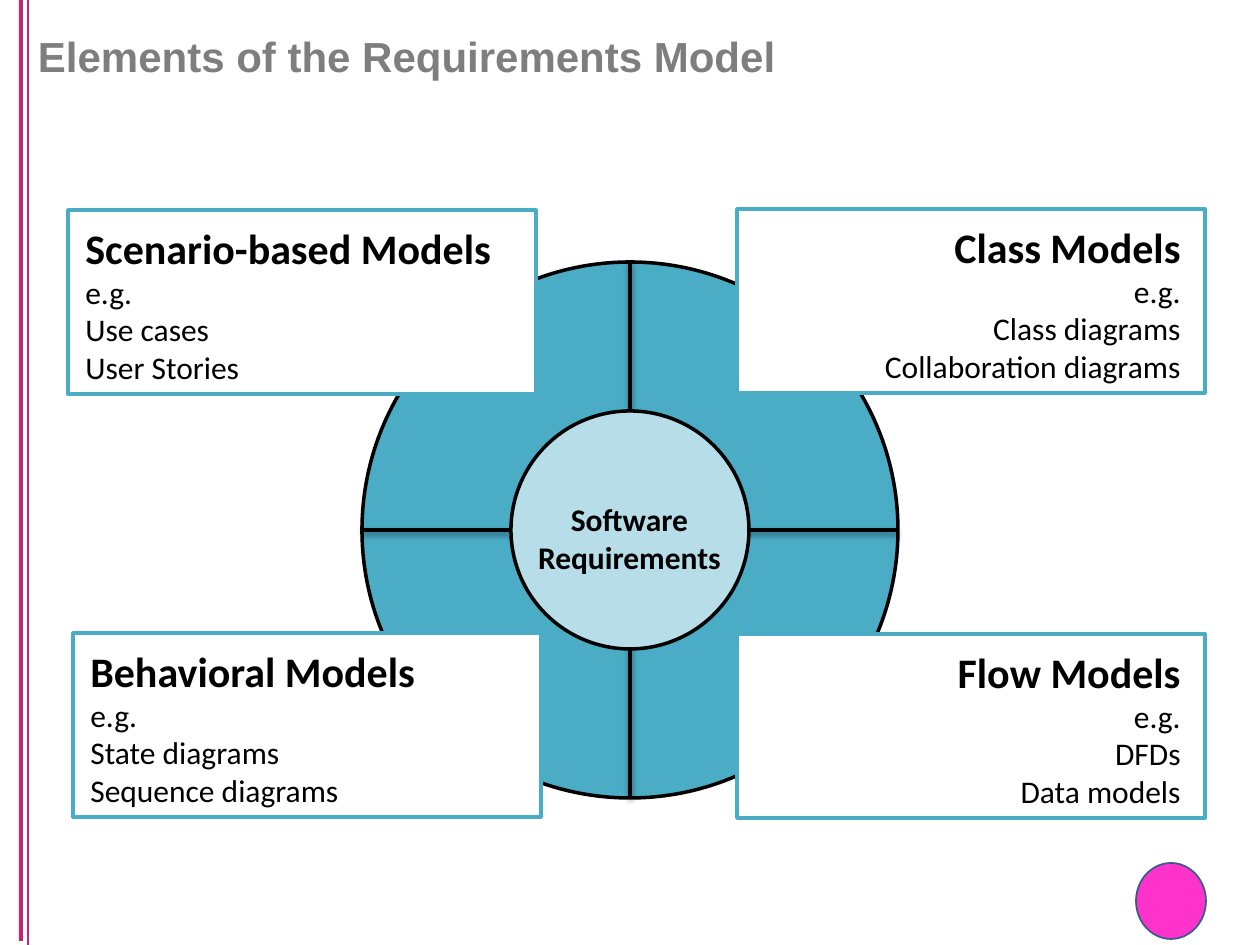
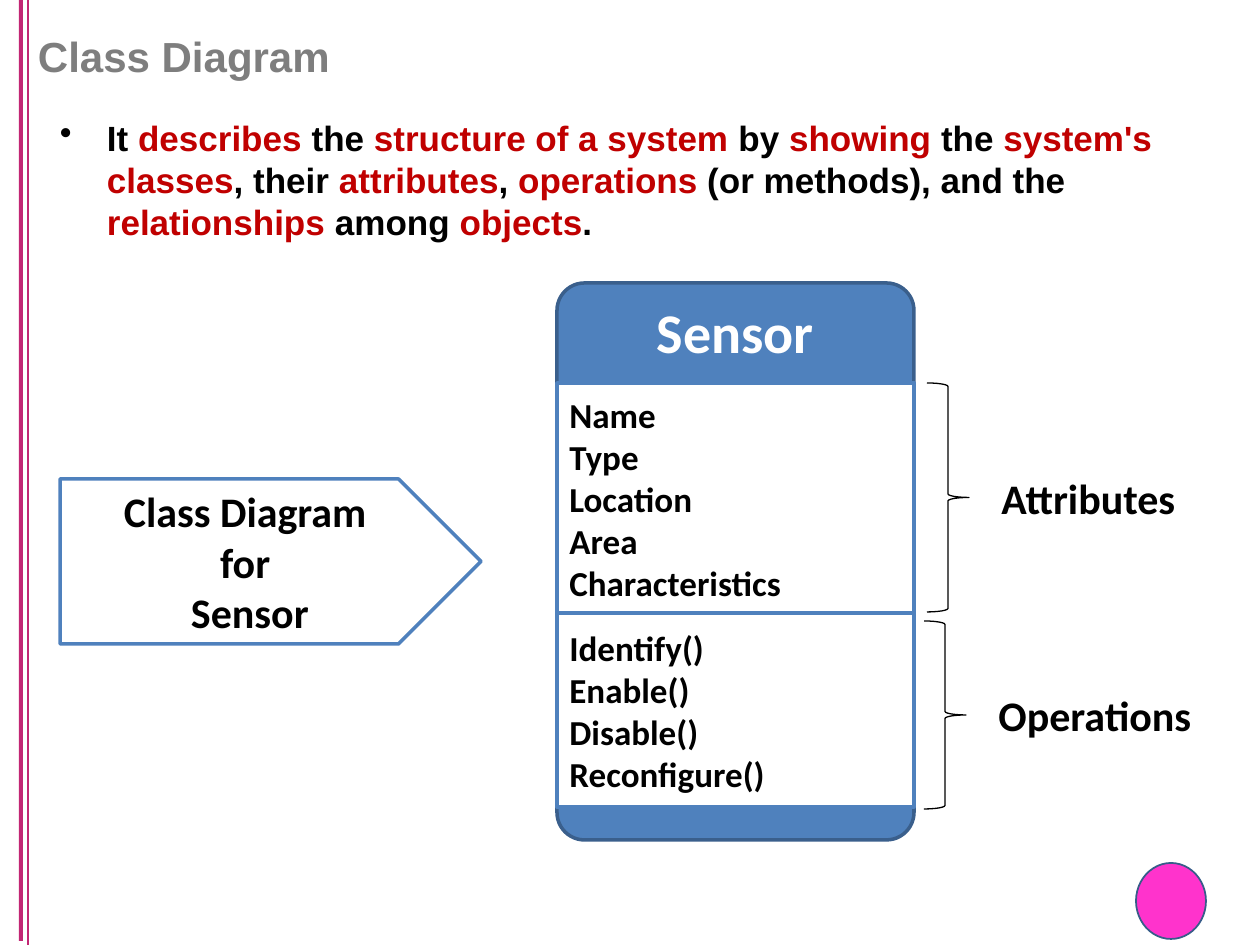
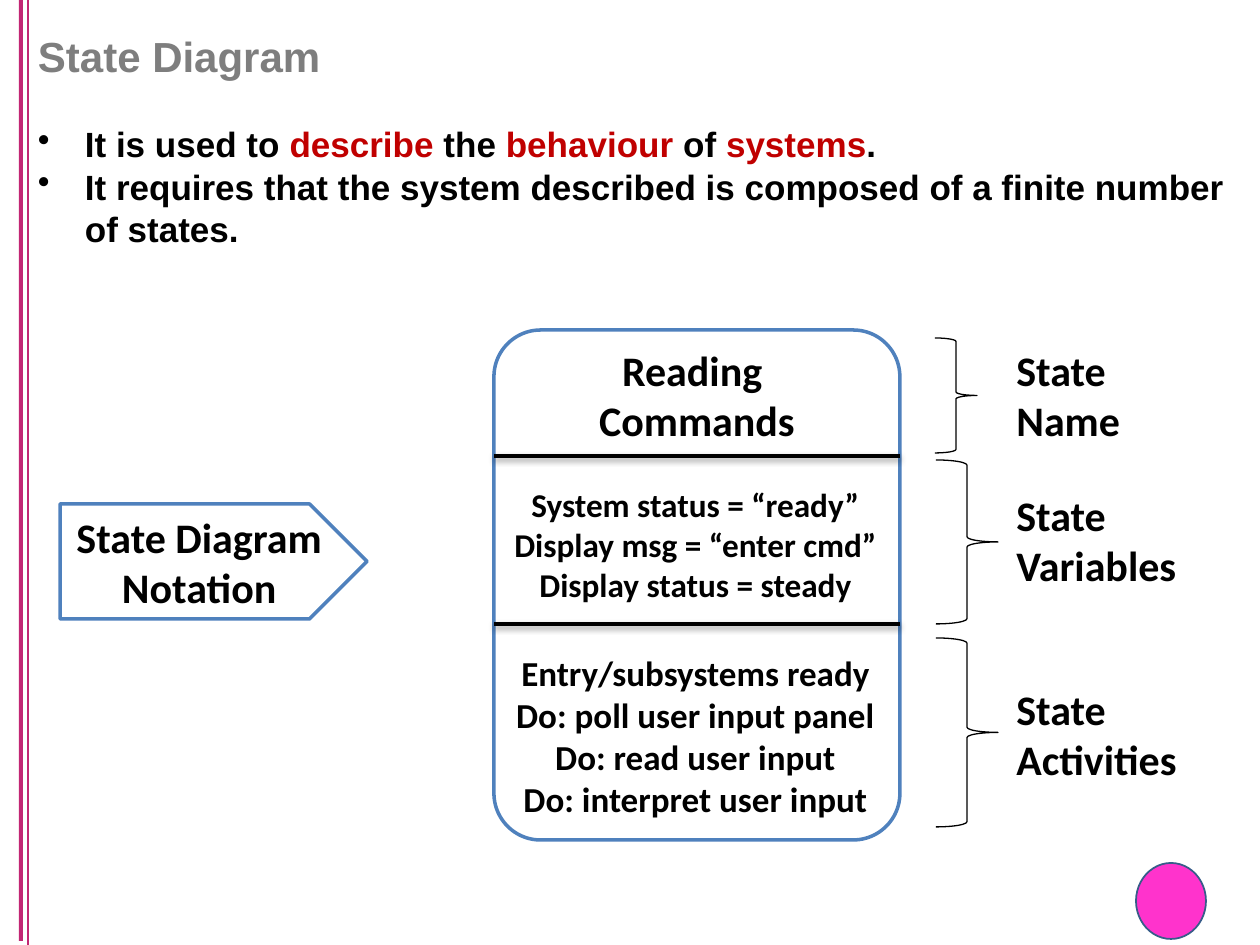
from lxml.etree import SubElement
from pptx import Presentation
from pptx.dml.color import RGBColor
from pptx.enum.shapes import MSO_CONNECTOR, MSO_SHAPE
from pptx.enum.text import MSO_ANCHOR, PP_ALIGN
from pptx.oxml.ns import qn
from pptx.util import Pt

SCALE = 914400 / 126
WIDE, HIGH = 1260, 945
HUES = {
    "black": "000000", "white": "FFFFFF", "grey": "7E7E7E", "red": "C00000",
    "rose": "C22674", "pink": "FF33CC", "navy": "375C89", "teal": "4BACC6",
    "pale": "B7DEE8", "blue": "4F81BD", "edge": "3A5F8C",
}
LEFT, MID, RIGHT = PP_ALIGN.LEFT, PP_ALIGN.CENTER, PP_ALIGN.RIGHT


def emu(*sizes):
    return [round(size * SCALE) for size in sizes]


def hue(name):
    return RGBColor.from_string(HUES[name])


# Basic parts
def shape(slide, kind, box, fill=None, line=None, width=2, adj=None):
    part = slide.shapes.add_shape(kind, *emu(*box))
    part.shadow.inherit = False
    if fill:
        part.fill.solid()
        part.fill.fore_color.rgb = hue(fill)
    else:
        part.fill.background()
    if line:
        part.line.color.rgb = hue(line)
        part.line.width = Pt(width)
    else:
        part.line.fill.background()
    if adj is not None:
        part.adjustments[0] = adj
    return part


def rule(slide, ends, color="black", width=2, shade=True):
    line = slide.shapes.add_connector(MSO_CONNECTOR.STRAIGHT, *emu(*ends))
    line.line.color.rgb = hue(color)
    line.line.width = Pt(width)
    fx = SubElement(line._element.spPr, qn("a:effectLst"))
    if shade:
        cast = SubElement(fx, qn("a:outerShdw"), blurRad="40000", dist="20000",
                          dir="5400000", rotWithShape="0")
        tone = SubElement(cast, qn("a:srgbClr"), val=HUES["black"])
        SubElement(tone, qn("a:alpha"), val="38000")


def style(para, size, bold=True, color="black", face="Calibri", align=LEFT):
    para.alignment = align
    font = para.font
    font.name, font.size, font.bold = face, Pt(size), bold
    font.color.rgb = hue(color)


def write(part, lines, size=24, align=LEFT, color="black", anchor=MSO_ANCHOR.TOP, wrap=True):
    frame = part.text_frame
    frame.word_wrap, frame.vertical_anchor = wrap, anchor
    frame.text = "\n".join(lines)
    for para in frame.paragraphs:
        style(para, size, align=align, color=color)
    return frame


def label(slide, box, lines, size=24, align=LEFT, wrap=True):
    part = slide.shapes.add_textbox(*emu(*box))
    return write(part, lines, size, align, wrap=wrap)


def plain(slide, box, top):
    """Text frame with no margins but the one at the top."""
    frame = slide.shapes.add_textbox(*emu(*box)).text_frame
    frame.word_wrap = True
    frame.margin_left = frame.margin_right = frame.margin_bottom = 0
    frame.margin_top = emu(top)[0]
    return frame


# What all slides share: side bands, page disc, title
def base(deck, title):
    slide = deck.slides.add_slide(deck.slide_layouts[6])
    shape(slide, MSO_SHAPE.OVAL, (1136, 863, 70, 76), "pink", "navy", 1)
    rule(slide, (28, 0, 28, HIGH), "rose", 0.75, shade=False)
    shape(slide, MSO_SHAPE.RECTANGLE, (19, 0, 4, 941), "rose")
    frame = plain(slide, (38, 26, 1186, 54), 4)
    frame.text = title
    style(frame.paragraphs[0], 24, color="grey", face="Arial")
    return slide


def points(slide, box, items, top=0):
    """Bulleted text; words between stars are red."""
    frame = plain(slide, box, top)
    for num, item in enumerate(items):
        para = frame.add_paragraph() if num else frame.paragraphs[0]
        style(para, 20, face="Arial")
        para.line_spacing = Pt(24)
        props = para._p.get_or_add_pPr()
        dent = emu(47)[0]
        props.set("marL", str(dent))
        props.set("indent", str(-dent))
        mark = SubElement(props, qn("a:buChar"), char="•")
        props.remove(mark)
        props.insert_element_before(mark, "a:tabLst", "a:defRPr", "a:extLst")
        for turn, words in enumerate(item.split("*")):
            if words:
                run = para.add_run()
                run.text = words
                run.font.color.rgb = hue("red" if turn % 2 else "black")


# Slide 1: wheel and four cards
def wheel(slide, box):
    left, top, size, _ = box
    half, core = size / 2, 238
    shape(slide, MSO_SHAPE.OVAL, box, "teal", "black")
    rule(slide, (left + half, top, left + half, top + size))
    rule(slide, (left, top + half, left + size, top + half))
    gap = (size - core) / 2
    shape(slide, MSO_SHAPE.OVAL, (left + gap, top + gap, core, core), "pale", "black")
    label(slide, (left + 163, top + 232, 209, 90), ["Software", "Requirements"],
          18, MID, wrap=False)


def card(slide, spot, lines, align):
    left, top = spot
    shape(slide, MSO_SHAPE.RECTANGLE, (left, top, 468, 184), "white", "teal")
    frame = label(slide, (left + 5, top + 6, 451, 178), lines, 24, align)
    for para in frame.paragraphs[1:]:
        style(para, 18, bold=False, align=align)


# Slides 2 and 3: tag and braces
def tag(slide, box, lines):
    part = shape(slide, MSO_SHAPE.PENTAGON, box, "white", "blue")
    write(part, lines, align=MID, anchor=MSO_ANCHOR.MIDDLE)


def brace(slide, box, spot, lines):
    shape(slide, MSO_SHAPE.RIGHT_BRACE, box, line="black", width=0.75)
    label(slide, spot, lines)


def sensor(slide, box):
    left, top, width, _ = box
    part = shape(slide, MSO_SHAPE.ROUNDED_RECTANGLE, box, "blue", "edge", adj=0.077)
    write(part, ["Sensor"], 32, MID, "white")
    top += 100
    for high, lines in (
        (230, ["Name", "Type", "Location", "Area", "Characteristics"]),
        (194, ["Identify()", "Enable()", "Disable()", "Reconfigure()"]),
    ):
        part = shape(slide, MSO_SHAPE.RECTANGLE, (left, top, width, high), "white", "blue")
        write(part, lines, 20, anchor=MSO_ANCHOR.MIDDLE)
        top += high


def state(slide, box):
    left, top, width, _ = box
    shape(slide, MSO_SHAPE.ROUNDED_RECTANGLE, box, "white", "blue", adj=0.115)
    for down in (126, 294):
        rule(slide, (left, top + down, left + width, top + down))
    for down, high, wide, size, lines in (
        (8, 115, width, 24, ["Reading ", "Commands"]),
        (148, 134, width - 3, 19, ["System status = “ready”", "Display msg = “enter cmd”",
                                   "Display status = steady"]),
        (315, 183, width - 3, 20, ["Entry/subsystems ready", "Do: poll user input panel",
                                   "Do: read user input", "Do: interpret user input"]),
    ):
        label(slide, (left, top + down, wide, high), lines, size, MID)


deck = Presentation()
deck.slide_width, deck.slide_height = emu(WIDE, HIGH)

# Requirements model
page = base(deck, "Elements of the Requirements Model")
wheel(page, (362, 262, 536, 536))
for spot, align, lines in (
    ((68, 210), LEFT, ["Scenario-based Models", "e.g.", "Use cases", "User Stories"]),
    ((737, 209), RIGHT, ["Class Models", "e.g.", "Class diagrams", "Collaboration diagrams"]),
    ((73, 633), LEFT, ["Behavioral Models", "e.g.", "State diagrams", "Sequence diagrams"]),
    ((737, 634), RIGHT, ["Flow Models", "e.g.", "DFDs", "Data models"]),
):
    card(page, spot, lines, align)

# Class diagram
page = base(deck, "Class Diagram")
points(page, (60, 116, 1173, 220), [
    "It *describes *the *structure of a system *by *showing* the *system's classes*, their "
    "*attributes*, *operations *(or methods), and the *relationships* among *objects*."])
sensor(page, (557, 283, 357, 557))
tag(page, (60, 479, 421, 165), ["Class Diagram ", "for ", "Sensor"])
brace(page, (927, 383, 42, 229), (989, 466, 210, 63), ["Attributes"])
brace(page, (924, 621, 42, 188), (986, 683, 232, 63), ["Operations"])

# State diagram
page = base(deck, "State Diagram")
points(page, (38, 81, 1212, 263), [
    "It is used to *describe *the *behaviour *of *systems*.",
    "It requires that the system described is composed of a finite number of states."], 42)
state(page, (494, 330, 406, 510))
for box, top, wide, word in (
    ((935, 338, 42, 115), 338, 131, "Name"),
    ((936, 460, 62, 164), 483, 193, "Variables"),
    ((936, 638, 62, 189), 677, 193, "Activities"),
):
    brace(page, box, (1004, top, wide, 115), ["State ", word])
tag(page, (60, 504, 307, 115), ["State Diagram Notation"])

deck.save("out.pptx")
